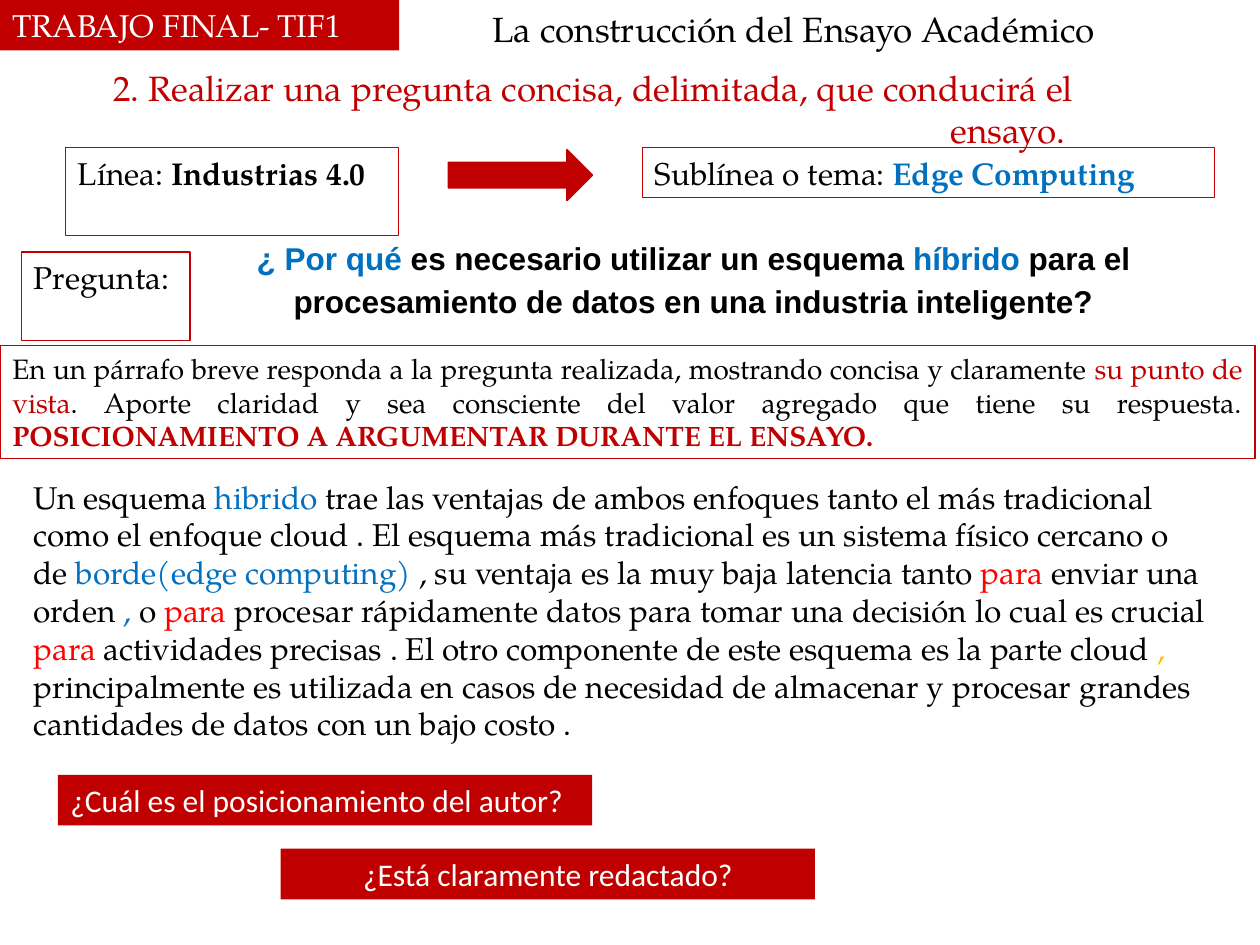
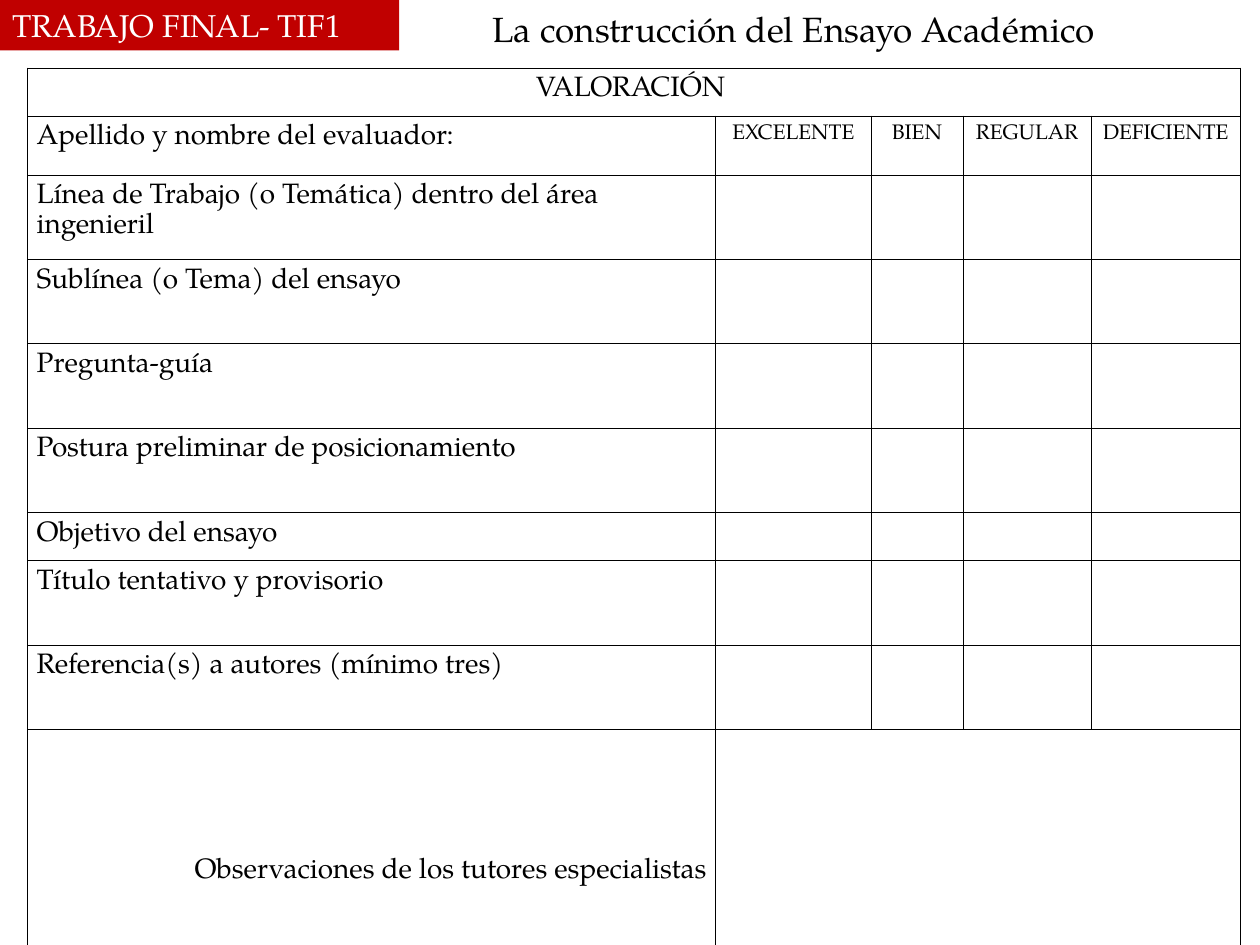
from dataclasses import dataclass

import lxml.etree
import pptx
import pptx.dml.color
import pptx.enum.shapes
import pptx.enum.text
import pptx.oxml
import pptx.oxml.ns
import pptx.util

Cm = pptx.util.Cm
Pt = pptx.util.Pt
Align = pptx.enum.text.PP_ALIGN
Preset = pptx.enum.shapes.MSO_SHAPE

# Shared look
SERIF = "TeX Gyre Pagella"
SANS = "Calibri"
RED = "C00000"
BLUE = "0070C0"
BRIGHT_RED = "FF0000"
GOLD = "FFC000"
BLACK = "000000"
WHITE = "FFFFFF"
BAR_HEIGHT = 1.02
BOX_HEIGHT = 1.78


@dataclass
class Box:
    """A rectangle in centimetres."""
    left: float
    top: float
    width: float
    height: float

    def inner(self, left, top, width, height):
        return Box(self.left + left, self.top + top, width, height)

    def lengths(self):
        return [Cm(n) for n in (self.left, self.top, self.width, self.height)]


def colour(hex_text):
    return pptx.dml.color.RGBColor.from_string(hex_text)


def write_text(frame, text, font=SERIF, size=18, color=BLACK, align=Align.LEFT,
               spacing=1.0):
    """Write a string, or a list of strings and (text, colour, bold) runs."""
    frame.word_wrap = True
    paragraph = frame.paragraphs[0]
    paragraph.alignment = align
    paragraph.line_spacing = spacing
    for piece in [text] if isinstance(text, str) else text:
        words, run_color, bold = (piece, color, False) if isinstance(piece, str) else piece
        run = paragraph.add_run()
        run.text = words
        run.font.name = font
        run.font.size = Pt(size)
        run.font.bold = bold
        run.font.color.rgb = colour(run_color)


def set_frame(frame):
    frame.auto_size = pptx.enum.text.MSO_AUTO_SIZE.NONE
    frame.vertical_anchor = pptx.enum.text.MSO_ANCHOR.TOP
    frame.margin_left = frame.margin_right = Cm(0.25)
    frame.margin_top = frame.margin_bottom = Cm(0.13)


def add_text(slide, box, text, **text_format):
    text_box = slide.shapes.add_textbox(*box.lengths())
    set_frame(text_box.text_frame)
    write_text(text_box.text_frame, text, **text_format)


def add_panel(slide, box, text="", preset=Preset.RECTANGLE, fill=None, line=None,
              line_width=0.75, **text_format):
    shape = slide.shapes.add_shape(preset, *box.lengths())
    shape.shadow.inherit = False
    if fill:
        shape.fill.solid()
        shape.fill.fore_color.rgb = colour(fill)
    else:
        shape.fill.background()
    if line:
        shape.line.color.rgb = colour(line)
        shape.line.width = Pt(line_width)
    else:
        shape.line.fill.background()
    if text:
        set_frame(shape.text_frame)
        write_text(shape.text_frame, text, **text_format)


# Header shared by both slides
def add_header(slide, box):
    add_panel(slide, box.inner(0, 0, 8.05, BAR_HEIGHT), "TRABAJO FINAL- TIF1",
              fill=RED, color=WHITE)
    title = slide.shapes.title
    place = box.inner(9.12, 0.03, 13.21, 1.96)
    title.left, title.top, title.width, title.height = place.lengths()
    set_frame(title.text_frame)
    write_text(title.text_frame, "La construcción del Ensayo Académico",
               size=20, align=Align.RIGHT)


# Step heading, with the line leading to the topic
def add_topic(slide, box):
    add_text(slide, box.inner(0.64, 0, 21.26, 1.96),
             "2. Realizar una pregunta concisa, delimitada, que conducirá el ensayo. ",
             size=20, color=RED, align=Align.RIGHT)
    add_panel(slide, box.inner(1.32, 1.75, 6.71, BOX_HEIGHT),
              ["Línea: ", ("Industrias 4.0", BLACK, True)], line=RED)
    add_panel(slide, box.inner(9.04, 1.8, 2.9, BAR_HEIGHT),
              preset=Preset.RIGHT_ARROW, fill=RED, line=RED, line_width=1)
    add_panel(slide, box.inner(12.95, 1.75, 11.53, BAR_HEIGHT),
              ["Sublínea o tema: ", ("Edge Computing", BLUE, True)], line=RED)


# Guiding question
def add_question(slide, box):
    add_panel(slide, box.inner(0.43, 0.51, 3.4, BOX_HEIGHT), "Pregunta:", line=RED)
    add_text(slide, box.inner(3.96, 0, 20.04, 2.01), [
        ("¿ Por qué ", BLUE, True),
        ("es necesario utilizar un esquema ", BLACK, True),
        ("híbrido ", BLUE, True),
        ("para el procesamiento de datos en una industria inteligente?", BLACK, True),
    ], font="Arial", align=Align.CENTER, spacing=1.15)


# Instruction and sample answer
def add_answer(slide, box):
    add_panel(slide, box.inner(0, 0, 25.3, 2.29), [
        "En un párrafo breve responda a la pregunta realizada, mostrando concisa y "
        "claramente ",
        ("su punto de vista", RED, False),
        ". Aporte claridad y sea consciente del valor agregado que tiene su respuesta. ",
        ("POSICIONAMIENTO A ARGUMENTAR DURANTE EL ENSAYO. ", RED, True),
    ], line=RED, size=16, align=Align.JUSTIFY)
    purpose = ("para", BRIGHT_RED, False)
    add_text(slide, box.inner(0.43, 2.54, 24.23, 6.35), [
        "Un esquema ",
        ("hibrido", BLUE, False),
        " trae las ventajas de ambos enfoques tanto el más tradicional como el enfoque "
        "cloud . El esquema más tradicional es un sistema físico cercano o de ",
        ("borde(edge computing) ", BLUE, False),
        ", su ventaja es la muy baja latencia tanto ",
        purpose,
        " enviar una orden",
        (" , ", BLUE, False),
        "o ",
        purpose,
        " procesar rápidamente datos para tomar una decisión lo cual es crucial ",
        purpose,
        " actividades precisas . El otro componente de este esquema es la parte cloud",
        (" , ", GOLD, False),
        "principalmente es utilizada en casos de necesidad de almacenar y procesar "
        "grandes cantidades de datos con un bajo costo .",
    ])


# Review prompts
def add_prompts(slide, box):
    prompts = [
        (0, 0, "¿Cuál es el posicionamiento del autor?", Align.LEFT),
        (4.49, 1.49, "¿Está claramente redactado?", Align.CENTER),
    ]
    for left, top, text, align in prompts:
        add_panel(slide, box.inner(left, top, 10.77, BAR_HEIGHT), text, fill=RED,
                  font=SANS, color=WHITE, align=align)


# Assessment table
def add_cell_borders(cell):
    properties = cell._tc.get_or_add_tcPr()
    for side in ("a:lnL", "a:lnR", "a:lnT", "a:lnB"):
        line = lxml.etree.SubElement(properties, pptx.oxml.ns.qn(side), w=str(Pt(0.45)))
        fill = lxml.etree.SubElement(line, pptx.oxml.ns.qn("a:solidFill"))
        lxml.etree.SubElement(fill, pptx.oxml.ns.qn("a:srgbClr"), val=BLACK)


def add_assessment(slide, box):
    widths = [13.87, 3.13, 1.85, 2.59, 3.0]
    short, tall = 0.97, 1.7
    rows = [
        ("VALORACIÓN ", short),
        ("Apellido y nombre del evaluador:", 1.19),
        ("Línea de Trabajo (o Temática) dentro del área ingenieril", tall),
        ("Sublínea (o Tema) del ensayo", tall),
        ("Pregunta-guía", tall),
        ("Postura preliminar de posicionamiento", tall),
        ("Objetivo del ensayo", short),
        ("Título tentativo y provisorio", tall),
        ("Referencia(s) a autores (mínimo tres)", tall),
        ("Observaciones de los tutores especialistas", 4.52),
    ]
    grades = ["EXCELENTE", "BIEN", "REGULAR", "DEFICIENTE"]
    last = len(rows) - 1
    table = slide.shapes.add_table(len(rows), len(widths), *box.lengths()).table
    table.first_row = table.horz_banding = False
    for column, width in zip(table.columns, widths):
        column.width = Cm(width)
    for row, (label, height) in zip(table.rows, rows):
        row.height = Cm(height)
    for cell in table.iter_cells():
        add_cell_borders(cell)
        cell.fill.background()
        cell.margin_left = cell.margin_right = Cm(0.18)
        cell.margin_top = cell.margin_bottom = 0
    table.cell(0, 0).merge(table.cell(0, 4))
    table.cell(last, 1).merge(table.cell(last, 4))

    def fill_cell(row, column, text, size=16, align=Align.LEFT, top=0.13):
        cell = table.cell(row, column)
        cell.margin_top = Cm(top)
        write_text(cell.text_frame, text, size=size, align=align, spacing=1.07)

    exceptions = {0: {"align": Align.CENTER}, last: {"align": Align.RIGHT, "top": 2.56}}
    for index, (label, height) in enumerate(rows):
        fill_cell(index, 0, label, **exceptions.get(index, {}))
    for index, grade in enumerate(grades, start=1):
        fill_cell(1, index, grade, size=12, align=Align.CENTER)


def new_slide(presentation):
    slide = presentation.slides.add_slide(presentation.slide_layouts[5])
    add_header(slide, Box(0, 0, 25.4, 1.99))
    return slide


def build_question_slide(presentation):
    slide = new_slide(presentation)
    add_topic(slide, Box(0, 1.22, 25.4, 3.53))
    add_question(slide, Box(0, 4.57, 25.4, 2.29))
    add_answer(slide, Box(0, 6.96, 25.4, 8.89))
    add_prompts(slide, Box(1.17, 15.62, 15.26, 2.51))


def build_assessment_slide(presentation):
    slide = new_slide(presentation)
    add_assessment(slide, Box(0.56, 1.37, 24.44, 17.86))


def main():
    presentation = pptx.Presentation()
    presentation.slide_width = Cm(25.4)
    presentation.slide_height = Cm(19.05)
    build_question_slide(presentation)
    build_assessment_slide(presentation)
    presentation.save("out.pptx")


if __name__ == "__main__":
    main()
